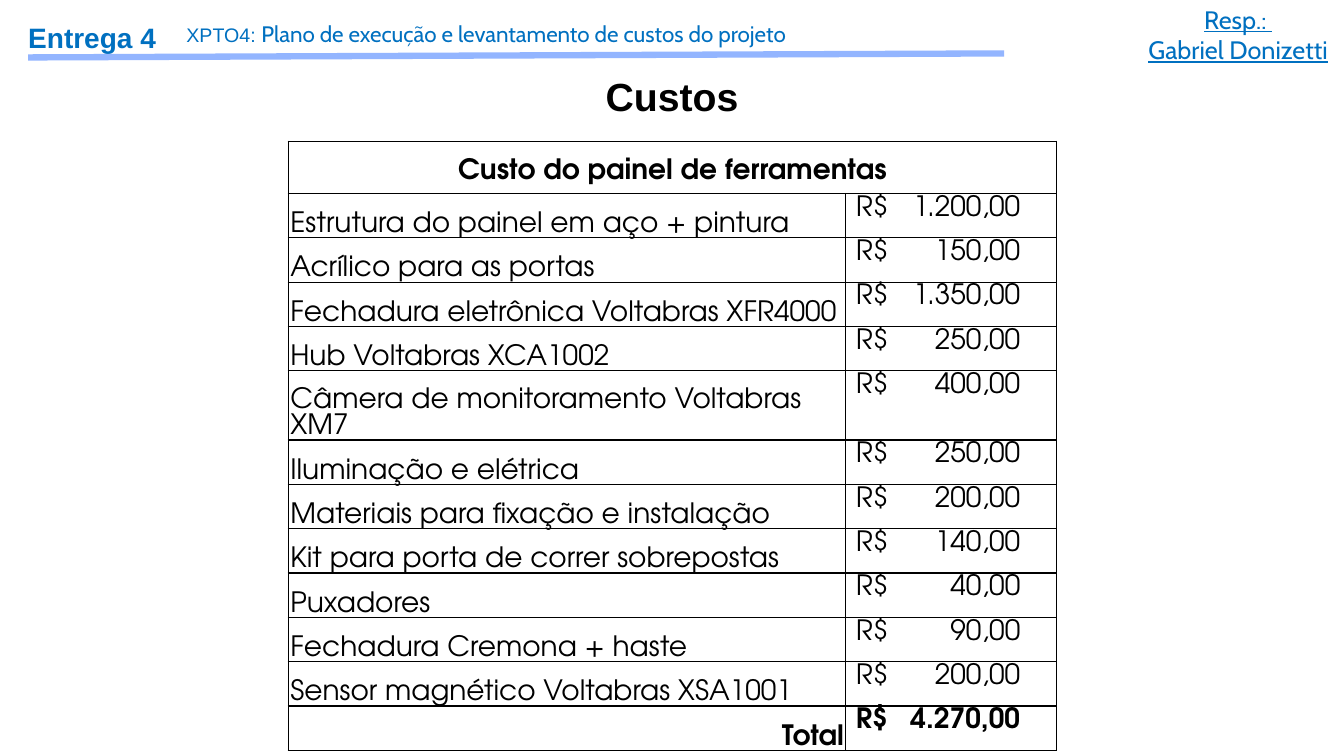
from lxml import etree
from pptx import Presentation, util as u
from pptx.dml.color import RGBColor
from pptx.enum import shapes, text
from pptx.oxml.ns import qn

BLACK = RGBColor(0, 0, 0)
BLUE = RGBColor(0x00, 0x70, 0xC0)
PALE_BLUE = RGBColor(0x93, 0xB5, 0xFF)
TABLE_FONT = "TeX Gyre Adventor"
LEFT, CENTER, RIGHT = text.PP_ALIGN.LEFT, text.PP_ALIGN.CENTER, text.PP_ALIGN.RIGHT
TOP, MIDDLE, BOTTOM = text.MSO_ANCHOR.TOP, text.MSO_ANCHOR.MIDDLE, text.MSO_ANCHOR.BOTTOM


def write(p, content, font="Arial", size=20, color=BLUE, bold=False, underline=False, align=LEFT):
    p.alignment = align
    r = p.add_run()
    r.text = content
    r.font.name, r.font.size, r.font.color.rgb = font, u.Pt(size), color
    r.font.bold, r.font.underline = bold, underline


def add_box(left, top, width, height):
    tf = s.shapes.add_textbox(u.Inches(left), u.Inches(top), u.Inches(width), u.Inches(height)).text_frame
    tf.word_wrap = True
    return tf


prs = Presentation()
prs.slide_width, prs.slide_height = u.Inches(13.33), u.Inches(7.5)
s = prs.slides.add_slide(prs.slide_layouts[6])

rule = s.shapes.add_connector(shapes.MSO_CONNECTOR.STRAIGHT, u.Inches(0.28), u.Inches(0.57), u.Inches(9.96), u.Inches(0.53))
rule.line.color.rgb, rule.line.width = PALE_BLUE, u.Pt(4.5)
etree.SubElement(rule._element.spPr, qn("a:effectLst"))

tf = add_box(11.23, -0.01, 2.1, 0.71)
tf.word_wrap = False
write(tf.paragraphs[0], "Resp.: ", font="Cabin", size=18, underline=True, align=CENTER)
write(tf.add_paragraph(), "Gabriel Donizetti", font="Cabin", size=18, underline=True, align=CENTER)

tf = add_box(0.22, 0.14, 1.54, 0.45)
tf.margin_left = tf.margin_right = tf.margin_top = tf.margin_bottom = u.Inches(0.06)
tf.vertical_anchor = MIDDLE
write(tf.paragraphs[0], "Entrega 4", bold=True)

p = add_box(0.42, 0.67, 12.49, 0.57).paragraphs[0]
write(p, "Custos", size=28, color=BLACK, bold=True, align=CENTER)

p = add_box(1.75, 0.15, 9.48, 0.37).paragraphs[0]
write(p, "XPTO4: ", size=14)
write(p, "Plano de execução e levantamento de custos do projeto", font="Cabin", size=16)

costs = [
    ("Estrutura do painel em aço + pintura", "1.200,00"),
    ("Acrílico para as portas", "150,00"),
    ("Fechadura eletrônica Voltabras XFR4000", "1.350,00"),
    ("Hub Voltabras XCA1002", "250,00"),
    ("Câmera de monitoramento Voltabras XM7", "400,00"),
    ("Iluminação e elétrica", "250,00"),
    ("Materiais para fixação e instalação", "200,00"),
    ("Kit para porta de correr sobrepostas", "140,00"),
    ("Puxadores", "40,00"),
    ("Fechadura Cremona + haste", "90,00"),
    ("Sensor magnético Voltabras XSA1001", "200,00"),
    ("Total", "4.270,00"),
]
HEADER_H, ROW_H = 0.52, 0.44
table = s.shapes.add_table(
    len(costs) + 1, 2, u.Inches(2.86), u.Inches(1.4), u.Inches(7.62), u.Inches(HEADER_H + ROW_H * len(costs))
).table
table.columns[0].width, table.columns[1].width = u.Inches(5.53), u.Inches(2.09)
for i, row in enumerate(table.rows):
    row.height = u.Inches(ROW_H if i else HEADER_H)

for cell in table.iter_cells():
    cell.margin_left = cell.margin_right = cell.margin_top = u.Inches(0.02)
    cell.margin_bottom = 0
    tcPr = cell._tc.get_or_add_tcPr()
    for side in ("a:lnL", "a:lnR", "a:lnT", "a:lnB"):
        ln = etree.SubElement(tcPr, qn(side), w=str(u.Pt(1)))
        fill = etree.SubElement(ln, qn("a:solidFill"))
        etree.SubElement(fill, qn("a:srgbClr"), val=str(BLACK))
    cell.fill.background()

header = table.cell(0, 0)
header.merge(table.cell(0, 1))
header.vertical_anchor = BOTTOM
header.margin_left = header.margin_right = u.Inches(0.18)
header.margin_top = header.margin_bottom = u.Inches(0.09)
write(header.text_frame.paragraphs[0], "Custo do painel de ferramentas", font=TABLE_FONT, color=BLACK, bold=True, align=CENTER)

for i, (item, amount) in enumerate(costs, 1):
    total = item == "Total"
    label, value = table.cell(i, 0), table.cell(i, 1)
    label.vertical_anchor, value.vertical_anchor = BOTTOM, TOP
    value.margin_left = u.Inches(0.1)
    write(label.text_frame.paragraphs[0], item, font=TABLE_FONT, color=BLACK, bold=total, align=RIGHT if total else LEFT)
    p = value.text_frame.paragraphs[0]
    write(p, "R$\t" + amount, font=TABLE_FONT, color=BLACK, bold=total)
    tabs = etree.SubElement(p._p.get_or_add_pPr(), qn("a:tabLst"))
    etree.SubElement(tabs, qn("a:tab"), pos=str(u.Inches(1.63)), algn="r")

prs.save("out.pptx")
